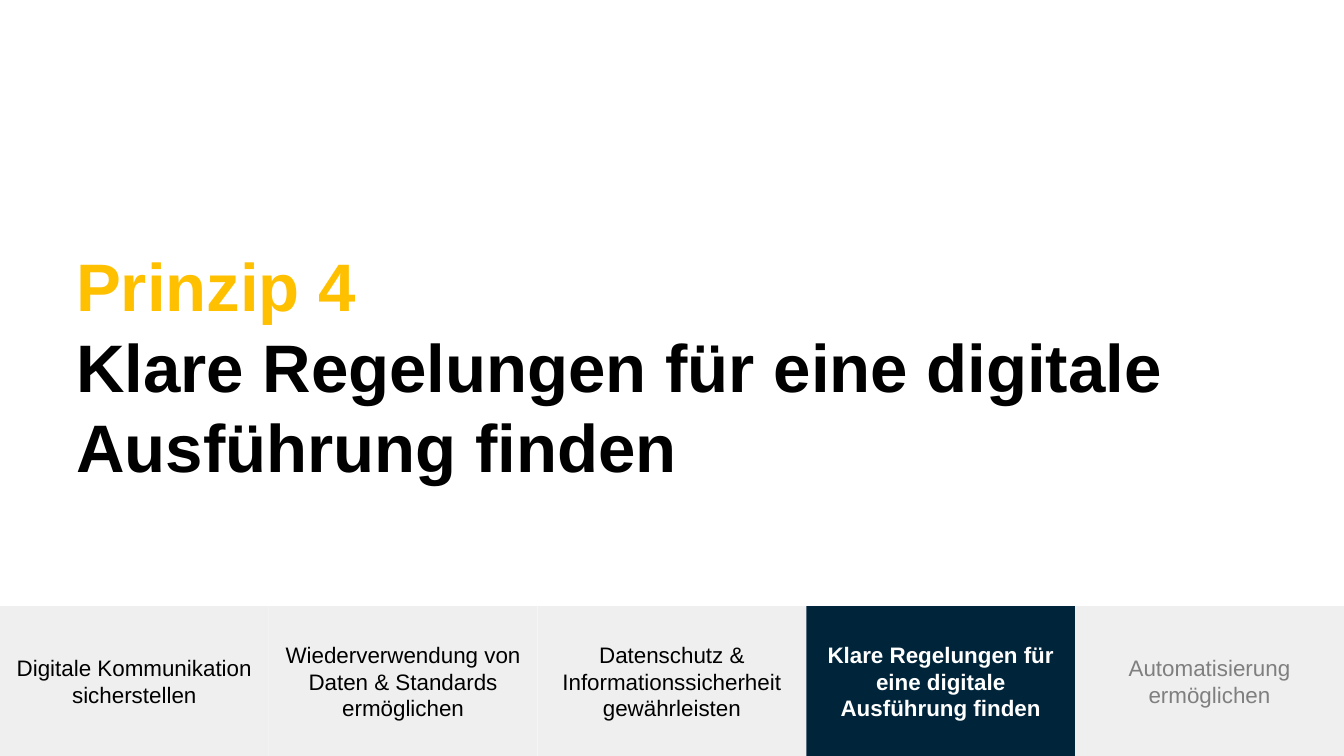
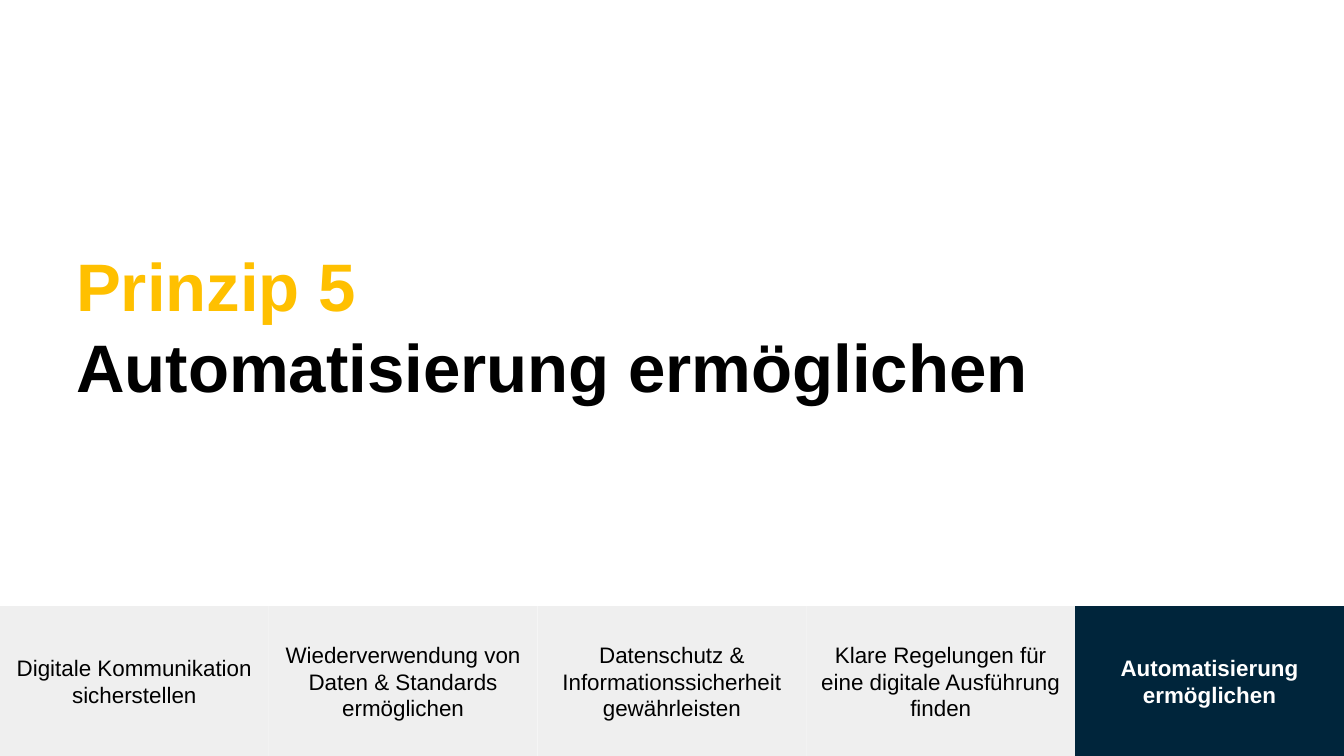
import pptx
import pptx.dml.color
import pptx.enum.shapes
import pptx.enum.text
import pptx.util

Cm = pptx.util.Cm
ANCHOR = pptx.enum.text.MSO_ANCHOR
ALIGN = pptx.enum.text.PP_ALIGN

PRINCIPLES = [
    "Digitale Kommunikation sicherstellen",
    "Wiederverwendung von Daten & Standards ermöglichen",
    "Datenschutz & Informationssicherheit gewährleisten",
    "Klare Regelungen für eine digitale Ausführung finden",
    "Automatisierung ermöglichen",
]
HEADING_LINES = {4: 3, 5: 2}

COLORS = {
    "accent": "FFC000",
    "heading": "000000",
    "band": "EFEFEF",
    "current": "00253B",
    "current_text": "FFFFFF",
    "done_text": "000000",
    "upcoming_text": "7F7F7F",
}
FONT = "Arial"
PAGE_WIDTH, PAGE_HEIGHT = 25.4, 14.29
BAND_HEIGHT = 2.83
HEADING_LEFT, HEADING_TOP, HEADING_WIDTH = 1.19, 4.37, 24.23
HEADING_LINE_HEIGHT = 1.54
INSET = 0.25


def color(name):
    return pptx.dml.color.RGBColor.from_string(COLORS[name])


def write(frame, *lines, colors, size, bold=False, align=ALIGN.LEFT, anchor=ANCHOR.TOP):
    frame.word_wrap = True
    frame.vertical_anchor = anchor
    frame.margin_left = frame.margin_right = Cm(INSET)
    frame.margin_top = frame.margin_bottom = Cm(INSET)
    for index, (line, line_color) in enumerate(zip(lines, colors)):
        paragraph = frame.add_paragraph() if index else frame.paragraphs[0]
        paragraph.alignment = align
        run = paragraph.add_run()
        run.text = line
        run.font.name = FONT
        run.font.size = pptx.util.Pt(size)
        run.font.bold = bold
        run.font.color.rgb = color(line_color)


def add_heading(slide, number):
    height = 2 * INSET + HEADING_LINES[number] * HEADING_LINE_HEIGHT
    heading = slide.shapes.add_textbox(
        Cm(HEADING_LEFT), Cm(HEADING_TOP), Cm(HEADING_WIDTH), Cm(height)
    )
    write(
        heading.text_frame, f"Prinzip {number}", PRINCIPLES[number - 1],
        colors=["accent", "heading"], size=36, bold=True,
    )
    heading.text_frame.auto_size = pptx.enum.text.MSO_AUTO_SIZE.SHAPE_TO_FIT_TEXT


def add_progress_band(slide, current):
    step_width = PAGE_WIDTH / len(PRINCIPLES)
    for number, principle in enumerate(PRINCIPLES, start=1):
        step = slide.shapes.add_shape(
            pptx.enum.shapes.MSO_SHAPE.RECTANGLE,
            Cm((number - 1) * step_width), Cm(PAGE_HEIGHT - BAND_HEIGHT),
            Cm(step_width), Cm(BAND_HEIGHT),
        )
        is_current = number == current
        step.shadow.inherit = False
        step.line.fill.background()
        step.fill.solid()
        step.fill.fore_color.rgb = color("current" if is_current else "band")
        if is_current:
            text_color = "current_text"
        else:
            text_color = "done_text" if number < current else "upcoming_text"
        write(
            step.text_frame, principle, colors=[text_color], size=12,
            bold=is_current, align=ALIGN.CENTER, anchor=ANCHOR.MIDDLE,
        )


def main():
    deck = pptx.Presentation()
    deck.slide_width, deck.slide_height = Cm(PAGE_WIDTH), Cm(PAGE_HEIGHT)
    for number in HEADING_LINES:
        slide = deck.slides.add_slide(deck.slide_layouts[6])
        add_heading(slide, number)
        add_progress_band(slide, number)
    deck.save("out.pptx")


if __name__ == "__main__":
    main()
